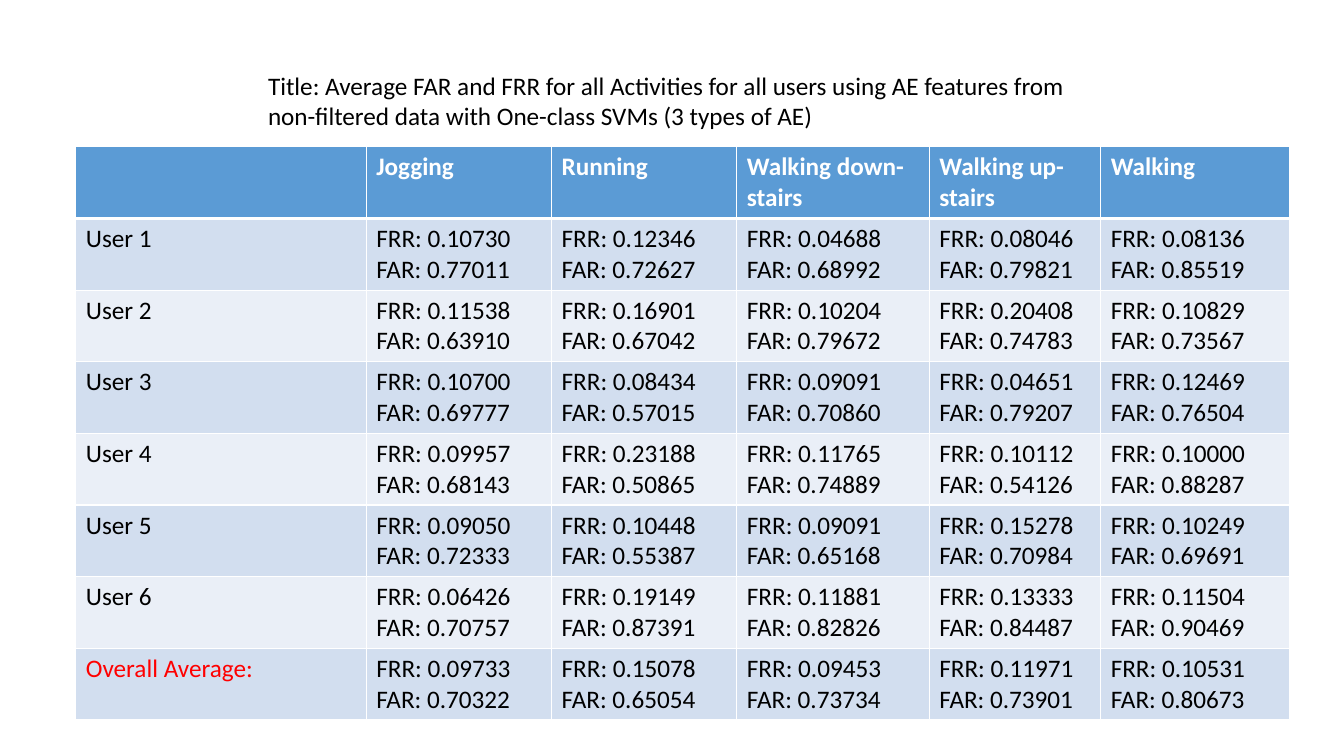
from dataclasses import dataclass

from lxml import etree
from pptx import Presentation
from pptx import util as u
from pptx.dml.color import RGBColor
from pptx.enum import text
from pptx.oxml import ns

FONT = "Calibri"
FONT_SIZE = u.Pt(18)
COLORS = {
    "header": "5B9BD5",
    "odd": "D2DEEF",
    "even": "EAEFF7",
    "white": "FFFFFF",
    "black": "000000",
    "average": "FF0000",
}


@dataclass
class ResultRow:
    label: str
    rates: list[tuple[str, str]]  # (FRR, FAR) for each activity
    label_color: str = "black"


ACTIVITIES = ["Jogging", "Running", "Walking down-stairs", "Walking up-stairs", "Walking"]
COLUMN_WIDTHS = [7.32, 4.67, 4.67, 4.85, 4.32, 4.75]
ROW_HEIGHT = 1.78

RESULTS = [
    ResultRow("User 1", [("0.10730", "0.77011"), ("0.12346", "0.72627"), ("0.04688", "0.68992"),
                         ("0.08046", "0.79821"), ("0.08136", "0.85519")]),
    ResultRow("User 2", [("0.11538", "0.63910"), ("0.16901", "0.67042"), ("0.10204", "0.79672"),
                         ("0.20408", "0.74783"), ("0.10829", "0.73567")]),
    ResultRow("User 3", [("0.10700", "0.69777"), ("0.08434", "0.57015"), ("0.09091", "0.70860"),
                         ("0.04651", "0.79207"), ("0.12469", "0.76504")]),
    ResultRow("User 4", [("0.09957", "0.68143"), ("0.23188", "0.50865"), ("0.11765", "0.74889"),
                         ("0.10112", "0.54126"), ("0.10000", "0.88287")]),
    ResultRow("User 5", [("0.09050", "0.72333"), ("0.10448", "0.55387"), ("0.09091", "0.65168"),
                         ("0.15278", "0.70984"), ("0.10249", "0.69691")]),
    ResultRow("User 6", [("0.06426", "0.70757"), ("0.19149", "0.87391"), ("0.11881", "0.82826"),
                         ("0.13333", "0.84487"), ("0.11504", "0.90469")]),
    ResultRow("Overall Average:", [("0.09733", "0.70322"), ("0.15078", "0.65054"),
                                   ("0.09453", "0.73734"), ("0.11971", "0.73901"),
                                   ("0.10531", "0.80673")], "average"),
]


def format_text(frame, color: str, bold: bool = False) -> None:
    for paragraph in frame.paragraphs:
        paragraph.alignment = text.PP_ALIGN.LEFT
        paragraph.font.size = FONT_SIZE
        for run in paragraph.runs:
            run.font.name = FONT
            run.font.size = FONT_SIZE
            run.font.bold = bold
            run.font.color.rgb = RGBColor.from_string(COLORS[color])


def set_borders(cell, top: float, bottom: float) -> None:
    """Draw white borders, with widths in points."""
    properties = cell._tc.get_or_add_tcPr()
    widths = {"lnL": 1, "lnR": 1, "lnT": top, "lnB": bottom}
    for position, (side, width) in enumerate(widths.items()):
        line = etree.Element(ns.qn(f"a:{side}"), w=str(u.Pt(width)))
        fill = etree.SubElement(line, ns.qn("a:solidFill"))
        etree.SubElement(fill, ns.qn("a:srgbClr"), val=COLORS["white"])
        properties.insert(position, line)


def fill_cell(cell, content: str, fill: str, color: str = "black", bold: bool = False,
              top: float = 1, bottom: float = 1) -> None:
    cell.text_frame.text = content
    format_text(cell.text_frame, color, bold)
    cell.fill.solid()
    cell.fill.fore_color.rgb = RGBColor.from_string(COLORS[fill])
    set_borders(cell, top, bottom)


deck = Presentation()
deck.slide_width, deck.slide_height = u.Cm(33.87), u.Cm(19.05)
slide = deck.slides.add_slide(deck.slide_layouts[5])

# Title
title = slide.shapes.title
title.left, title.top, title.width, title.height = u.Cm(6.5), u.Cm(1.65), u.Cm(20.65), u.Cm(1.8)
title.text_frame.text = ("Title: Average FAR and FRR for all Activities for all users using AE "
                         "features from non-filtered data with One-class SVMs (3 types of AE)")
title.text_frame.word_wrap = True
title.text_frame.auto_size = text.MSO_AUTO_SIZE.NONE
title.text_frame.vertical_anchor = text.MSO_ANCHOR.TOP
format_text(title.text_frame, "black")

# Results table
row_count = len(RESULTS) + 1
results_table = slide.shapes.add_table(
    row_count, len(COLUMN_WIDTHS), u.Cm(1.91), u.Cm(3.7),
    u.Cm(sum(COLUMN_WIDTHS)), u.Cm(ROW_HEIGHT * row_count)).table
for column, width in zip(results_table.columns, COLUMN_WIDTHS):
    column.width = u.Cm(width)

# Activity headings
for column_index, activity in enumerate(["", *ACTIVITIES]):
    fill_cell(results_table.cell(0, column_index), activity, "header", "white", bold=True, bottom=3)

# Error rates by user
for row_index, result in enumerate(RESULTS, start=1):
    band = "odd" if row_index % 2 else "even"
    top = 3 if row_index == 1 else 1
    fill_cell(results_table.cell(row_index, 0), result.label, band, result.label_color, top=top)
    for column_index, (frr, far) in enumerate(result.rates, start=1):
        fill_cell(results_table.cell(row_index, column_index),
                  f"FRR: {frr}\nFAR: {far}", band, top=top)

deck.save("out.pptx")
